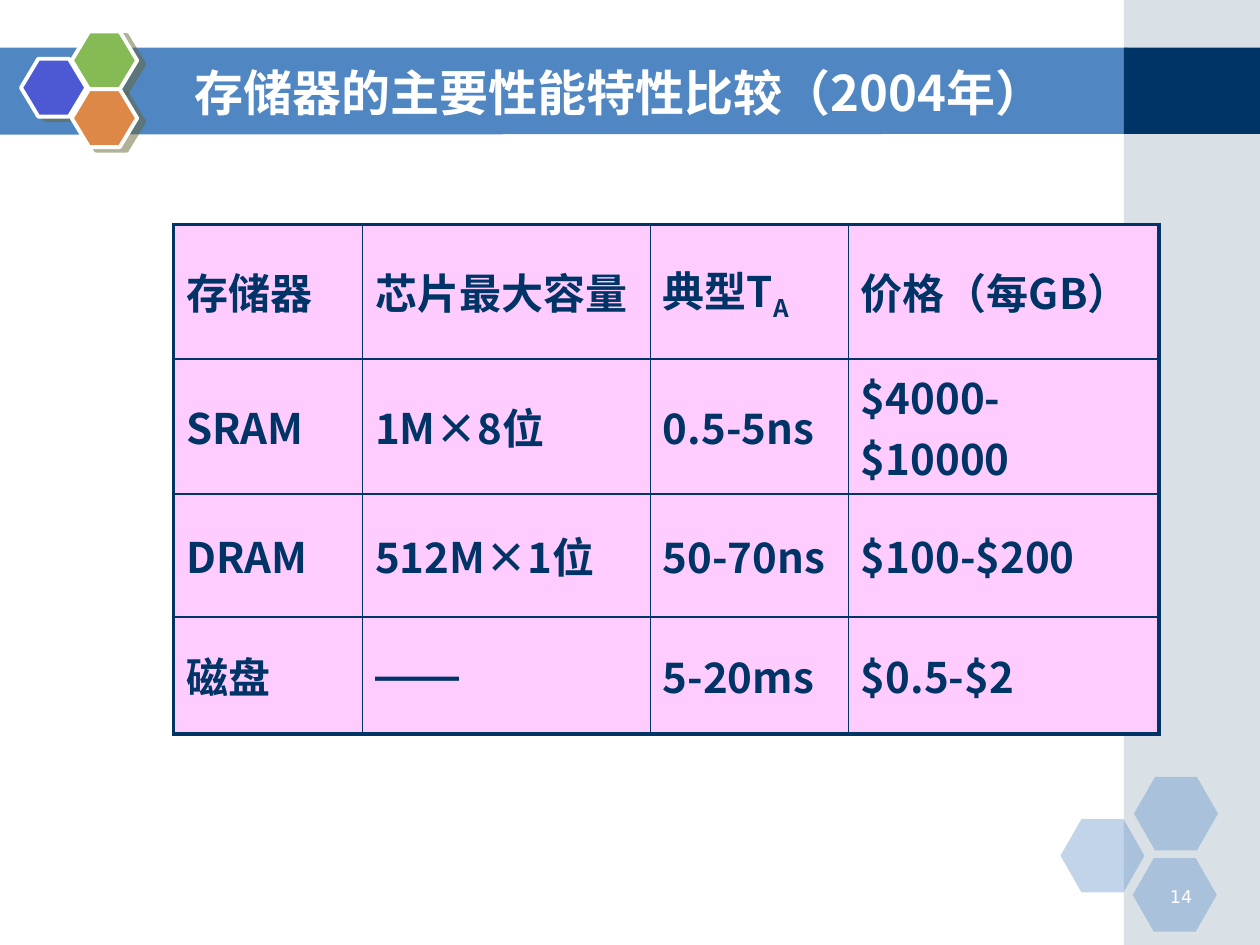
from lxml.etree import SubElement
from pptx import Presentation
from pptx.dml.color import RGBColor
from pptx.enum.shapes import MSO_SHAPE
from pptx.enum.text import MSO_ANCHOR, PP_ALIGN
from pptx.oxml.ns import qn
from pptx.util import Pt

WHITE = RGBColor(0xFF, 0xFF, 0xFF)
NAVY = RGBColor(0x00, 0x33, 0x66)
BLUE = RGBColor(0x50, 0x86, 0xC2)
GREY_BLUE = RGBColor(0xA0, 0xB5, 0xC4)
INDIGO = RGBColor(0x4C, 0x59, 0xD2)
GREEN = RGBColor(0x85, 0xBA, 0x54)
ORANGE = RGBColor(0xDE, 0x88, 0x48)
OLIVE = RGBColor(0x66, 0x66, 0x33)
PINK = RGBColor(0xFF, 0xCC, 0xFF)
CJK_FONT = "Noto Sans CJK SC"


def add_span(para, text, size, color, font=CJK_FONT, bold=True):
    span = para.add_run()
    span.text = text
    span.font.size = Pt(size)
    span.font.bold = bold
    span.font.color.rgb = color
    span.font.name = font
    SubElement(span.font._element, qn("a:ea"), typeface=font)
    return span


def add_block(page, kind, left, top, width, height, color, opacity=100):
    block = page.shapes.add_shape(kind, Pt(left), Pt(top), Pt(width), Pt(height))
    block.shadow.inherit = False
    block.fill.solid()
    block.fill.fore_color.rgb = color
    block.line.fill.background()
    if opacity < 100:
        tint = block._element.spPr.find(qn("a:solidFill"))[0]
        SubElement(tint, qn("a:alpha"), val=str(opacity * 1000))
    return block


deck = Presentation()
deck.slide_width = Pt(720)
deck.slide_height = Pt(540)
page = deck.slides.add_slide(deck.slide_layouts[6])

builder = page.shapes.build_freeform(Pt(-0.7), Pt(27.2))
builder.add_line_segments(
    [(Pt(644.4), Pt(27.2)), (Pt(644.4), Pt(76.5)), (Pt(-0.7), Pt(76.9))], close=True
)
banner = builder.convert_to_shape()
banner.shadow.inherit = False
banner.fill.solid()
banner.fill.fore_color.rgb = BLUE
banner.line.fill.background()

add_block(page, MSO_SHAPE.RECTANGLE, 642.2, 0, 77.8, 540, GREY_BLUE, 40)
add_block(page, MSO_SHAPE.RECTANGLE, 642.2, 27.2, 77.8, 49.3, NAVY)

for left, top in [(606, 468), (648, 444), (647.3, 490.4)]:
    hexagon = add_block(page, MSO_SHAPE.HEXAGON, left, top, 48, 42, BLUE, 35)
    hexagon.adjustments[0] = 0.286

for left, top, color in [(12, 33.6, INDIGO), (41, 18, GREEN), (41, 51, ORANGE)]:
    hexagon = add_block(page, MSO_SHAPE.HEXAGON, left, top, 37.4, 33.1, color)
    hexagon.adjustments[0] = 0.3
    hexagon.line.color.rgb = WHITE
    hexagon.line.width = Pt(2.25)
    effects = hexagon._element.spPr.find(qn("a:effectLst"))
    shadow = SubElement(
        effects, qn("a:outerShdw"), dist=str(Pt(4.5)), dir=str(27 * 60000),
        algn="ctr", rotWithShape="0",
    )
    shade = SubElement(shadow, qn("a:srgbClr"), val=str(OLIVE))
    SubElement(shade, qn("a:alpha"), val="50000")

number_box = page.shapes.add_textbox(Pt(652.3), Pt(502.6), Pt(36), Pt(18))
number_box.text_frame.word_wrap = True
para = number_box.text_frame.paragraphs[0]
para.alignment = PP_ALIGN.RIGHT
add_span(para, "14", 10, WHITE, "DejaVu Sans", False)

title_box = page.shapes.add_textbox(Pt(90), Pt(30), Pt(528), Pt(45))
title_box.text_frame.word_wrap = True
title_box.text_frame.vertical_anchor = MSO_ANCHOR.MIDDLE
para = title_box.text_frame.paragraphs[0]
para.alignment = PP_ALIGN.CENTER
add_span(para, "存储器的主要性能特性比较（2004年）", 28, WHITE)

rows = [
    ["存储器", "芯片最大容量", "典型T", "价格（每GB）"],
    ["SRAM", "1M×8位", "0.5-5ns", "$4000-$10000"],
    ["DRAM", "512M×1位", "50-70ns", "$100-$200"],
    ["磁盘", "——", "5-20ms", "$0.5-$2"],
]
column_widths = [108, 164.4, 113.2, 177.6]
row_heights = [77, 77, 70.4, 66.8]
table = page.shapes.add_table(
    4, 4, Pt(99.2), Pt(128.2), Pt(sum(column_widths)), Pt(sum(row_heights))
).table
table.first_row = False
table.horz_banding = False
for column, width in zip(table.columns, column_widths):
    column.width = Pt(width)
for row, height in zip(table.rows, row_heights):
    row.height = Pt(height)

for r, texts in enumerate(rows):
    for c, text in enumerate(texts):
        cell = table.cell(r, c)
        cell.vertical_anchor = MSO_ANCHOR.MIDDLE
        outer_edges = {"a:lnL": c == 0, "a:lnR": c == 3, "a:lnT": r == 0, "a:lnB": r == 3}
        for tag, outer in outer_edges.items():
            border = SubElement(
                cell._tc.get_or_add_tcPr(), qn(tag), w=str(Pt(2.25 if outer else 1))
            )
            fill = SubElement(border, qn("a:solidFill"))
            SubElement(fill, qn("a:srgbClr"), val=str(NAVY))
        cell.fill.solid()
        cell.fill.fore_color.rgb = PINK
        para = cell.text_frame.paragraphs[0]
        add_span(para, text, 24, NAVY, "Arial" if text == "——" else CJK_FONT)

subscript = add_span(table.cell(0, 2).text_frame.paragraphs[0], "A", 24, NAVY)
subscript.font._element.set("baseline", "-25000")

deck.save("out.pptx")
